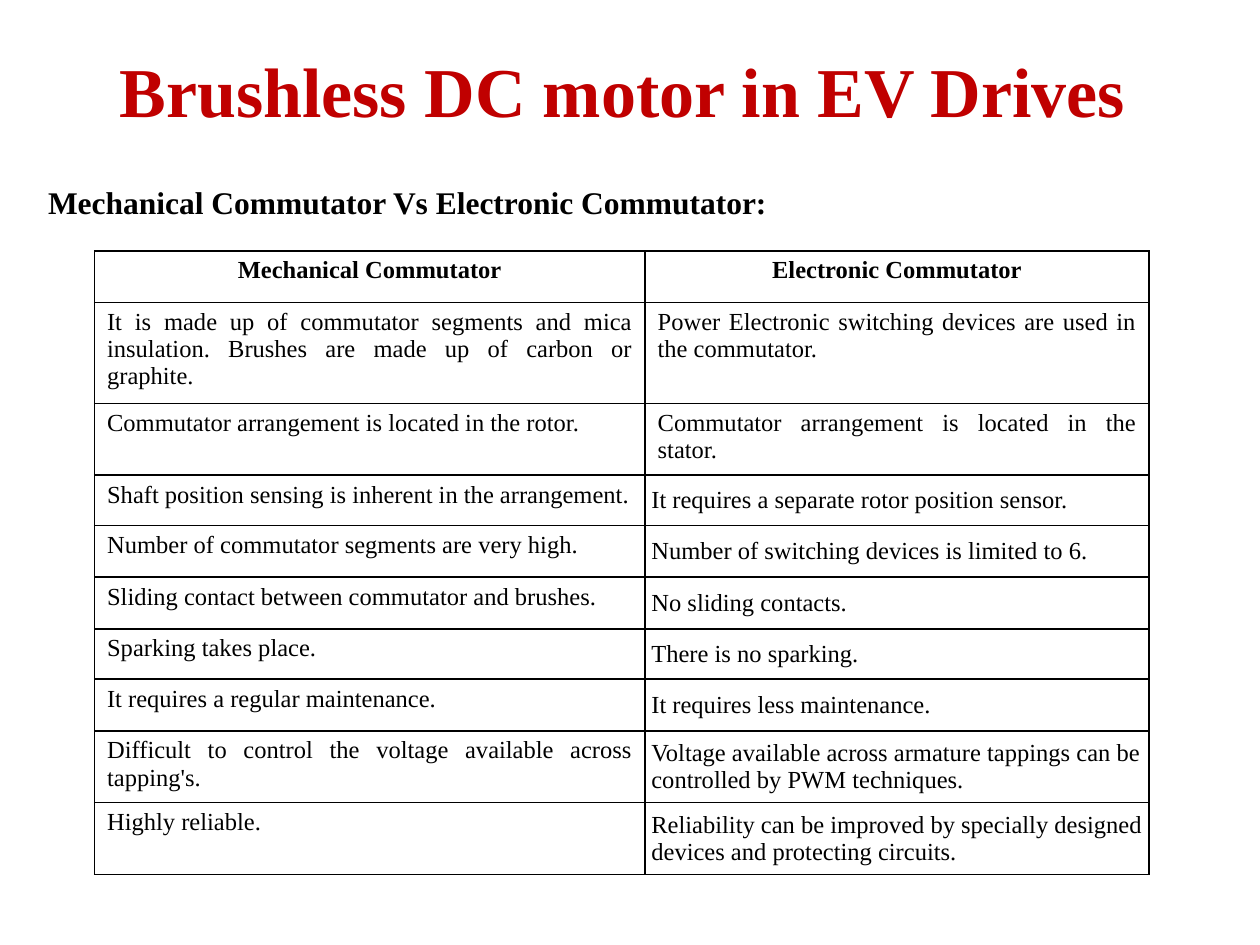
from pptx import Presentation
from pptx import util as u
from pptx.dml.color import RGBColor
from pptx.enum import text
from pptx.oxml import parse_xml
from pptx.oxml.ns import nsdecls

FONT = "Times New Roman"
BLACK = RGBColor(0x00, 0x00, 0x00)
RED = RGBColor(0xC0, 0x00, 0x00)
ALIGN = text.PP_ALIGN
ANCHOR = text.MSO_ANCHOR

HEADERS = ("Mechanical Commutator", "Electronic Commutator")
ROWS = [
    (0.8, "It is made up of commutator segments and mica insulation. "
     "Brushes are made up of carbon or graphite.",
     "Power Electronic switching devices are used in the commutator."),
    (0.57, "Commutator arrangement is located in the rotor.",
     "Commutator arrangement is located in the stator."),
    (0.4, "Shaft position sensing is inherent in the arrangement.",
     "It requires a separate rotor position sensor."),
    (0.41, "Number of commutator segments are very high.",
     "Number of switching devices is limited to 6."),
    (0.41, "Sliding contact between commutator and brushes.", "No sliding contacts."),
    (0.4, "Sparking takes place.", "There is no sparking."),
    (0.41, "It requires a regular maintenance.", "It requires less maintenance."),
    (0.57, "Difficult to control the voltage available across tapping's.",
     "Voltage available across armature tappings can be controlled by PWM techniques."),
    (0.57, "Highly reliable.",
     "Reliability can be improved by specially designed devices and protecting circuits."),
]


def write(tf, words, size, bold=False, color=BLACK, align=ALIGN.CENTER):
    """Write one formatted run into the first paragraph of a text frame."""
    p = tf.paragraphs[0]
    p.alignment = align
    r = p.add_run()
    r.text = words
    r.font.name = FONT
    r.font.size = u.Pt(size)
    r.font.bold = bold
    r.font.color.rgb = color


def add_title(s, words):
    """Place the slide title in the title placeholder."""
    sp = s.shapes.title
    sp.left, sp.top, sp.width, sp.height = map(u.Inches, (0, 0.18, 9.88, 1.06))
    tf = sp.text_frame
    tf.auto_size = text.MSO_AUTO_SIZE.NONE
    tf.vertical_anchor = ANCHOR.MIDDLE
    write(tf, words, 40, True, RED)


def add_heading(s, words):
    """Add the heading above the table."""
    sp = s.shapes.add_textbox(*map(u.Inches, (0.15, 1.4, 6.17, 0.4)))
    sp.text_frame.word_wrap = True
    write(sp.text_frame, words, 18, True)


def set_borders(cell):
    """Give a cell thin black borders on all sides and no fill."""
    tc_pr = cell._tc.get_or_add_tcPr()
    for side in ("lnL", "lnR", "lnT", "lnB"):
        tc_pr.append(parse_xml(
            f'<a:{side} {nsdecls("a")} w="12700"><a:solidFill>'
            f'<a:srgbClr val="{BLACK}"/></a:solidFill></a:{side}>'))
    cell.fill.background()


def fill_cell(cell, words, bold=False, align=ALIGN.JUSTIFY, anchor=ANCHOR.TOP, side=0.1):
    """Format a table cell and write its text."""
    cell.margin_left = cell.margin_right = u.Inches(side)
    cell.margin_top = cell.margin_bottom = u.Inches(0.05)
    cell.vertical_anchor = anchor
    set_borders(cell)
    write(cell.text_frame, words, 14, bold, align=align)


def add_comparison(s):
    """Add the table that compares the two commutators."""
    heights = [0.41] + [row[0] for row in ROWS]
    frame = s.shapes.add_table(len(heights), 2, u.Inches(0.75), u.Inches(1.99),
                               u.Inches(8.37), u.Inches(sum(heights)))
    table = frame.table
    table.first_row = table.horz_banding = False
    for column, width in zip(table.columns, (4.37, 4)):
        column.width = u.Inches(width)
    for row, height in zip(table.rows, heights):
        row.height = u.Inches(height)
    for j, words in enumerate(HEADERS):
        fill_cell(table.cell(0, j), words, True, ALIGN.CENTER)
    for i, (_, mechanical, electronic) in enumerate(ROWS, 1):
        fill_cell(table.cell(i, 0), mechanical)
        if i < 3:
            fill_cell(table.cell(i, 1), electronic)
        else:
            fill_cell(table.cell(i, 1), electronic, align=ALIGN.LEFT,
                      anchor=ANCHOR.MIDDLE, side=0.05)


def main():
    """Build and save the slide."""
    prs = Presentation()
    prs.slide_width, prs.slide_height = u.Inches(10), u.Inches(7.5)
    s = prs.slides.add_slide(prs.slide_layouts[5])
    add_heading(s, "Mechanical Commutator Vs Electronic Commutator:")
    add_comparison(s)
    add_title(s, "Brushless DC motor in EV Drives")
    prs.save("out.pptx")


if __name__ == "__main__":
    main()
